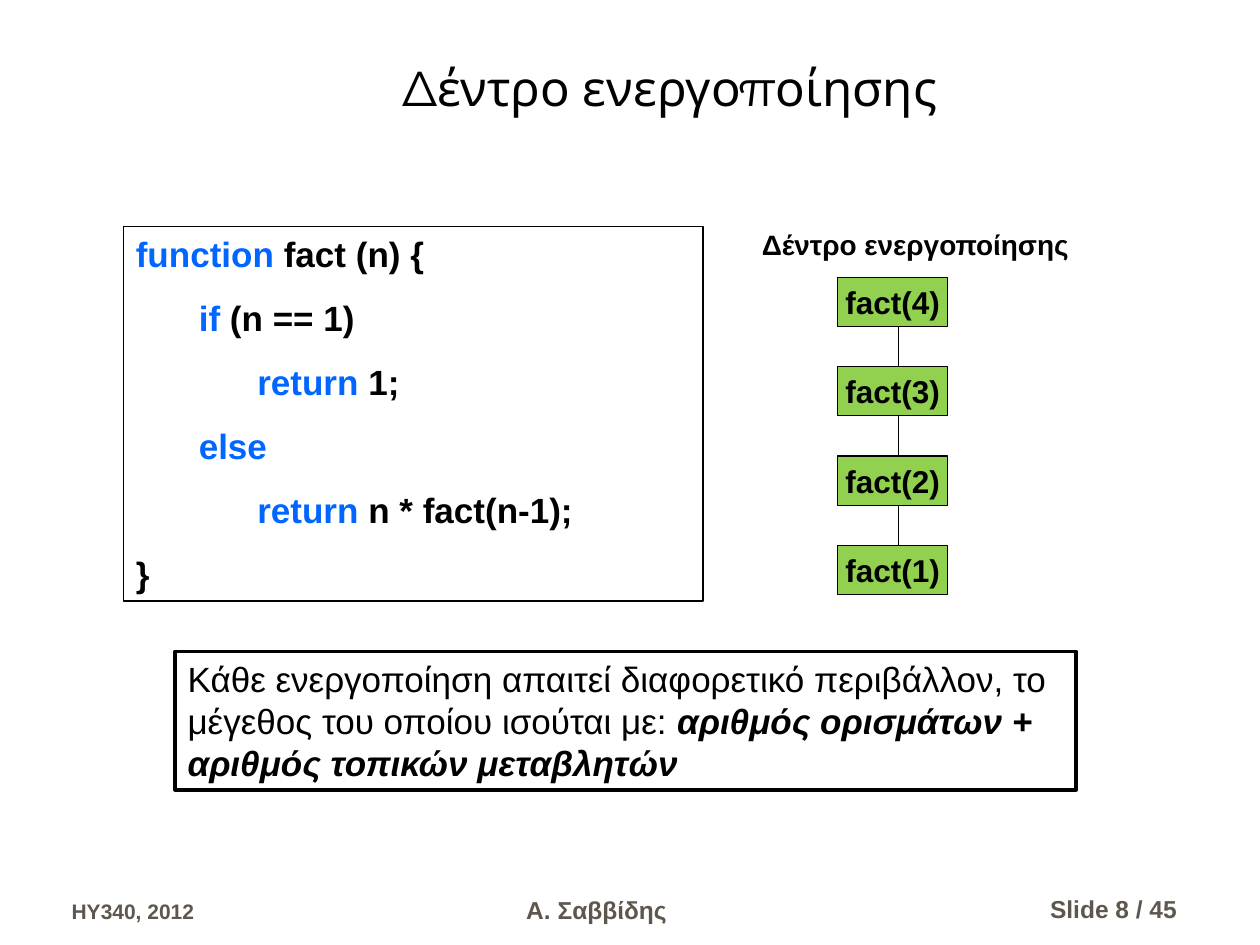
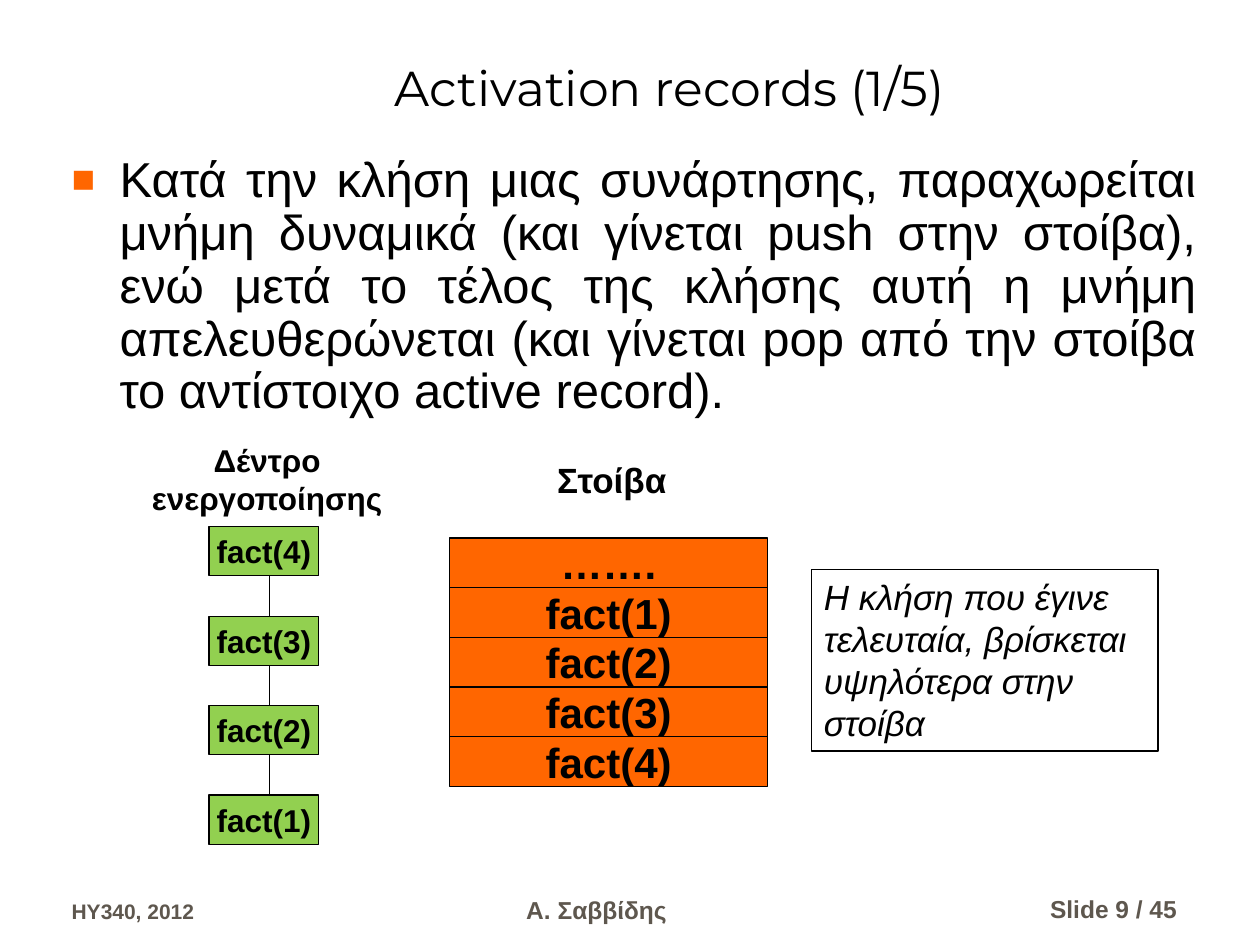
"""Builds two lecture slides on the activation tree and activation records."""
from lxml.etree import SubElement
from pptx import Presentation
from pptx.dml.color import RGBColor as RGB
from pptx.enum.shapes import MSO_CONNECTOR as LINE, MSO_SHAPE as SHAPE
from pptx.enum.text import MSO_ANCHOR as ANCHOR, PP_ALIGN as ALIGN
from pptx.oxml.ns import qn
from pptx.util import Inches, Pt

COLORS = {"ink": "000000", "paper": "FFFFFF", "keyword": "0066FF",
          "node": "92D050", "stack": "FF6600", "footer": "5E574E"}


def add_text(slide, place, paragraphs, size, color="ink", font="Arial", bold=None, italic=None,
             align=ALIGN.LEFT, anchor=ANCHOR.TOP, wrap=True, fill=None, border=0.75):
    """Adds a text box, or a bordered rectangle when a fill is given."""
    lengths = [Inches(value) for value in place]
    if fill:
        holder = slide.shapes.add_shape(SHAPE.RECTANGLE, *lengths)
        holder.shadow.inherit = False
        holder.fill.solid()
        holder.fill.fore_color.rgb = RGB.from_string(COLORS[fill])
        holder.line.color.rgb = RGB.from_string(COLORS["ink"])
        holder.line.width = Pt(border)
    else:
        holder = slide.shapes.add_textbox(*lengths)
    frame = holder.text_frame
    frame.word_wrap = wrap
    frame.vertical_anchor = anchor
    for index, words in enumerate(paragraphs):
        paragraph = frame.add_paragraph() if index else frame.paragraphs[0]
        paragraph.text = words
        paragraph.alignment = align
        paragraph.font.name = font
        paragraph.font.size = Pt(size)
        paragraph.font.bold = bold
        paragraph.font.italic = italic
        paragraph.font.color.rgb = RGB.from_string(COLORS[color])
    return frame


def add_activation_tree(slide, left, top):
    """Draws the chain of calls from fact(4) down to fact(1)."""
    step, width, height = 0.71, 0.87, 0.39
    for depth in range(4):
        y = top + depth * step
        add_text(slide, (left, y, width, height), [f"fact({4 - depth})"], 18, bold=True,
                 align=ALIGN.CENTER, anchor=ANCHOR.MIDDLE, wrap=False, fill="node")
        if depth < 3:
            x = Inches(left + 0.48)
            branch = slide.shapes.add_connector(
                LINE.STRAIGHT, x, Inches(y + height), x, Inches(y + step))
            branch.line.color.rgb = RGB.from_string(COLORS["ink"])
            branch.line.width = Pt(0.75)
            SubElement(branch._element.spPr, qn("a:effectLst"))


deck = Presentation()
deck.slide_width, deck.slide_height = Inches(10), Inches(7.5)
slides = []
for number, title in ((8, "Δέντρο ενεργοποίησης"), (9, "Activation records (1/5)")):
    slide = deck.slides.add_slide(deck.slide_layouts[6])
    slides.append(slide)
    add_text(slide, (1.08, 0.14, 8.47, 0.83), [title], 28, font="Montserrat",
             align=ALIGN.CENTER, anchor=ANCHOR.BOTTOM)
    for place, words, size, align in (
            ((0.47, 6.88, 2.19, 0.5), "HY340, 2012", 12, ALIGN.LEFT),
            ((7.36, 6.88, 2.08, 0.5), f"Slide {number} / 45", 14, ALIGN.RIGHT),
            ((3.15, 6.89, 3.17, 0.5), "Α. Σαββίδης", 14, ALIGN.CENTER)):
        add_text(slide, place, [words], size, color="footer", bold=True,
                 align=align, anchor=ANCHOR.BOTTOM)
tree_slide, records_slide = slides

code_lines = [("", "function", " fact (n) {"),
              ("\t", "if", " (n == 1)"),
              ("\t      ", "return", " 1;"),
              ("\t", "else", ""),
              ("\t      ", "return", " n * fact(n-1);"),
              ("}", "", "")]
code = add_text(tree_slide, (0.98, 1.8, 4.6, 2.97), [""] * len(code_lines), 20,
                bold=True, fill="paper")
for index, (paragraph, pieces) in enumerate(zip(code.paragraphs, code_lines)):
    paragraph.space_before = Pt(12.5 if index else 0)
    for color, piece in zip(("ink", "keyword", "ink"), pieces):
        if piece:
            run = paragraph.add_run()
            run.text = piece
            run.font.color.rgb = RGB.from_string(COLORS[color])

add_activation_tree(tree_slide, 6.65, 2.2)
add_text(tree_slide, (5.73, 1.76, 3.07, 0.37), ["Δέντρο ενεργοποίησης"], 16,
         bold=True, align=ALIGN.CENTER)
environment = add_text(
    tree_slide, (1.39, 5.17, 7.15, 1.1),
    ["Κάθε ενεργοποίηση απαιτεί διαφορετικό περιβάλλον, το μέγεθος του οποίου ισούται με: "],
    20, fill="paper", border=2)
formula = environment.paragraphs[0].add_run()
formula.text = "αριθμός ορισμάτων + αριθμός τοπικών μεταβλητών"
formula.font.bold = formula.font.italic = True

explanation = add_text(
    records_slide, (0.47, 1.18, 9.12, 2.42),
    ["Κατά την κλήση μιας συνάρτησης, παραχωρείται μνήμη δυναμικά (και γίνεται push στην "
     "στοίβα), ενώ μετά το τέλος της κλήσης αυτή η μνήμη απελευθερώνεται (και γίνεται pop "
     "από την στοίβα το αντίστοιχο active record)."],
    28, align=ALIGN.JUSTIFY).paragraphs[0]
properties = explanation._p.get_or_add_pPr()
properties.set("marL", str(Inches(0.38)))
properties.set("indent", str(-Inches(0.38)))
bullet_color = SubElement(properties, qn("a:buClr"))
SubElement(bullet_color, qn("a:srgbClr"), val=COLORS["stack"])
SubElement(properties, qn("a:buSzPct"), val="80000")
SubElement(properties, qn("a:buFont"), typeface="Arial")
SubElement(properties, qn("a:buChar"), char="■")
properties.append(properties.find(qn("a:defRPr")))
explanation.line_spacing = 0.9

stack_top, stack_height = 4.27, 1.97
stack = ["…….", "fact(1)", "fact(2)", "fact(3)", "fact(4)"]
record_height = stack_height / len(stack)
for level, record in enumerate(stack):
    add_text(records_slide, (3.57, stack_top + level * record_height, 2.52, record_height),
             [record], 24, bold=True, align=ALIGN.CENTER, anchor=ANCHOR.MIDDLE,
             wrap=False, fill="stack")
add_text(records_slide, (4.1, 3.59, 1.51, 0.44), ["Στοίβα"], 20, bold=True, align=ALIGN.CENTER)
add_text(records_slide, (6.44, 4.52, 2.75, 1.44),
         ["Η κλήση που έγινε τελευταία, βρίσκεται υψηλότερα στην στοίβα"], 20,
         italic=True, fill="paper")
add_activation_tree(records_slide, 1.66, 4.18)
add_text(records_slide, (0.86, 3.45, 2.52, 0.7), ["Δέντρο ενεργοποίησης"], 18,
         bold=True, align=ALIGN.CENTER)

deck.save("out.pptx")
